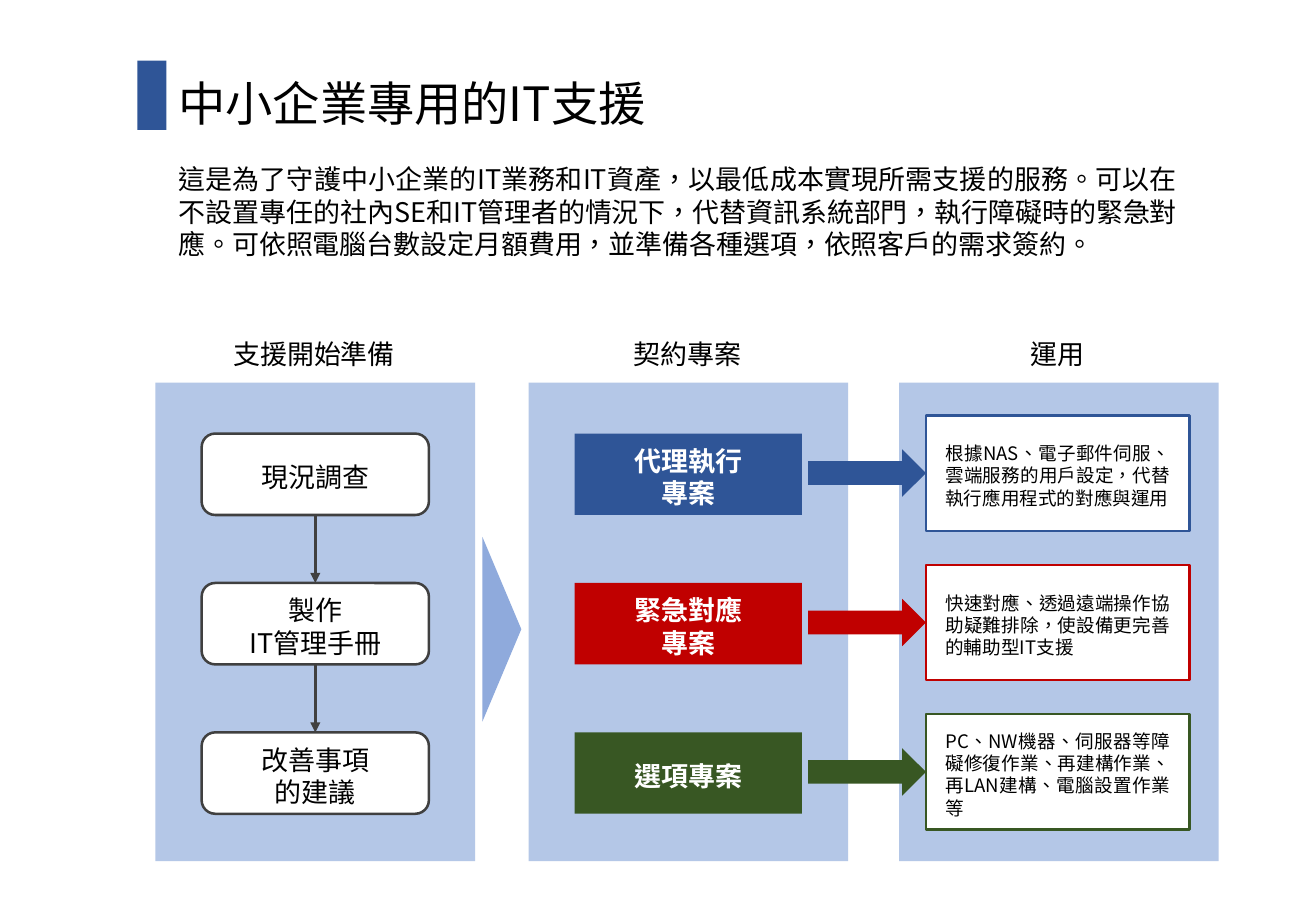
from lxml import etree
from pptx import Presentation
from pptx.dml.color import RGBColor
from pptx.enum.shapes import MSO_CONNECTOR, MSO_SHAPE
from pptx.enum.text import MSO_ANCHOR, MSO_AUTO_SIZE, PP_ALIGN
from pptx.oxml.ns import qn
from pptx.util import Inches, Pt

RECT, ROUND = MSO_SHAPE.RECTANGLE, MSO_SHAPE.ROUNDED_RECTANGLE
TRIANGLE, ARROW = MSO_SHAPE.ISOSCELES_TRIANGLE, MSO_SHAPE.RIGHT_ARROW
STRAIGHT = MSO_CONNECTOR.STRAIGHT
TOP, MIDDLE = MSO_ANCHOR.TOP, MSO_ANCHOR.MIDDLE
NO_FIT = MSO_AUTO_SIZE.NONE
LEFT, CENTER, JUSTIFY = PP_ALIGN.LEFT, PP_ALIGN.CENTER, PP_ALIGN.JUSTIFY

BLACK, WHITE, GRAY = "000000", "FFFFFF", "404040"
BLUE, RED, GREEN = "2F5597", "C00000", "385723"
PANEL, WEDGE = "B4C7E7", "8FAADC"


def color(value):
    return RGBColor.from_string(value)


class Deck:
    font = "Noto Sans CJK SC"
    leading = 1.2

    def __init__(self, width, height):
        self.prs = Presentation()
        self.prs.slide_width, self.prs.slide_height = Inches(width), Inches(height)
        self.s = self.prs.slides.add_slide(self.prs.slide_layouts[5])

    def fill_text(self, sp, lines, size, ink=BLACK, align=CENTER, bold=False,
                  anchor=MIDDLE, margin=0.1):
        tf = sp.text_frame
        tf.word_wrap, tf.auto_size = True, NO_FIT
        tf.vertical_anchor = anchor
        tf.margin_left = tf.margin_right = Inches(margin)
        tf.margin_top, tf.margin_bottom = Inches(0.07), Inches(0.03)
        for i, line in enumerate(lines):
            p = tf.add_paragraph() if i else tf.paragraphs[0]
            p.alignment = align
            p.line_spacing = Pt(round(size * self.leading, 1))
            p.space_before = Pt(0)
            r = p.add_run()
            r.text = line
            r.font.name, r.font.size, r.font.bold = self.font, Pt(size), bold
            r.font.color.rgb = color(ink)
            rPr = r._r.get_or_add_rPr()
            rPr.set("lang", "zh-TW")
            etree.SubElement(rPr, qn("a:ea")).set("typeface", self.font)

    def title(self, box, text, size):
        sp = self.s.shapes.title
        sp.left, sp.top, sp.width, sp.height = map(Inches, box)
        self.fill_text(sp, [text], size, align=LEFT, anchor=TOP)

    def text(self, box, text, size, align):
        sp = self.s.shapes.add_textbox(*map(Inches, box))
        self.fill_text(sp, [text], size, align=align, anchor=TOP)

    def shape(self, kind, box, fill, line=None):
        sp = self.s.shapes.add_shape(kind, *map(Inches, box))
        sp.shadow.inherit = False
        sp.fill.solid()
        sp.fill.fore_color.rgb = color(fill)
        if line:
            sp.line.color.rgb = color(line)
            sp.line.width = Pt(1.5)
        else:
            sp.line.fill.background()
        return sp

    def arrow_line(self, x, top, bottom, ink):
        c = self.s.shapes.add_connector(STRAIGHT, *map(Inches, (x, top, x, bottom)))
        c.line.color.rgb = color(ink)
        c.line.width = Pt(1.5)
        spPr = c._element.spPr
        etree.SubElement(spPr.find(qn("a:ln")), qn("a:tailEnd")).set("type", "triangle")
        etree.SubElement(spPr, qn("a:effectLst"))


COLUMNS = [(1.28, "支援開始準備"), (4.35, "契約專案"), (7.4, "運用")]
STEPS = [["現況調查"], ["製作", "IT管理手冊"], ["改善事項", "的建議"]]
PLANS = [
    (BLUE, ["代理執行", "專案"],
     "根據NAS、電子郵件伺服、雲端服務的用戶設定，代替執行應用程式的對應與運用"),
    (RED, ["緊急對應", "專案"],
     "快速對應、透過遠端操作協助疑難排除，使設備更完善的輔助型IT支援"),
    (GREEN, ["選項專案"],
     "PC、NW機器、伺服器等障礙修復作業、再建構作業、再LAN建構、電腦設置作業等"),
]
ROW_TOP, ROW_STEP = 3.57, 1.23
BOX_W, BOX_H = 1.87, 0.67


def main():
    deck = Deck(10.83, 7.5)
    deck.title((1.37, 0.54, 8.37, 0.57), "中小企業專用的IT支援", 28)
    deck.shape(RECT, (1.13, 0.5, 0.24, 0.57), BLUE)
    deck.text((1.37, 1.27, 8.42, 0.91),
              "這是為了守護中小企業的IT業務和IT資產，以最低成本實現所需支援的服務。"
              "可以在不設置專任的社內SE和IT管理者的情況下，代替資訊系統部門，"
              "執行障礙時的緊急對應。可依照電腦台數設定月額費用，並準備各種選項，"
              "依照客戶的需求簽約。", 16, JUSTIFY)

    for x, heading in COLUMNS:
        deck.shape(RECT, (x, 3.15, 2.63, 3.94), PANEL)
        deck.text((x + 0.28, 2.71, 2.05, 0.37), heading, 16, CENTER)

    wedge = deck.shape(TRIANGLE, (3.37, 5.02, 1.52, 0.32), WEDGE)
    wedge.rotation = 90

    for i, (step, (tone, plan, detail)) in enumerate(zip(STEPS, PLANS)):
        y = ROW_TOP + i * ROW_STEP
        sp = deck.shape(ROUND, (1.66, y, BOX_W, BOX_H), WHITE, GRAY)
        deck.fill_text(sp, step, 16)
        if i:
            deck.arrow_line(1.66 + BOX_W / 2, y - ROW_STEP + BOX_H, y, GRAY)
        sp = deck.shape(RECT, (4.73, y, BOX_W, BOX_H), tone)
        deck.fill_text(sp, plan, 16, WHITE, bold=True)
        sp = deck.shape(RECT, (7.62, y - 0.15, 2.17, 0.95), WHITE, tone)
        deck.fill_text(sp, [detail], 11, align=JUSTIFY, margin=0.16)
        deck.shape(ARROW, (6.65, y + 0.13, 0.97, 0.39), tone)

    deck.prs.save("out.pptx")


if __name__ == "__main__":
    main()
